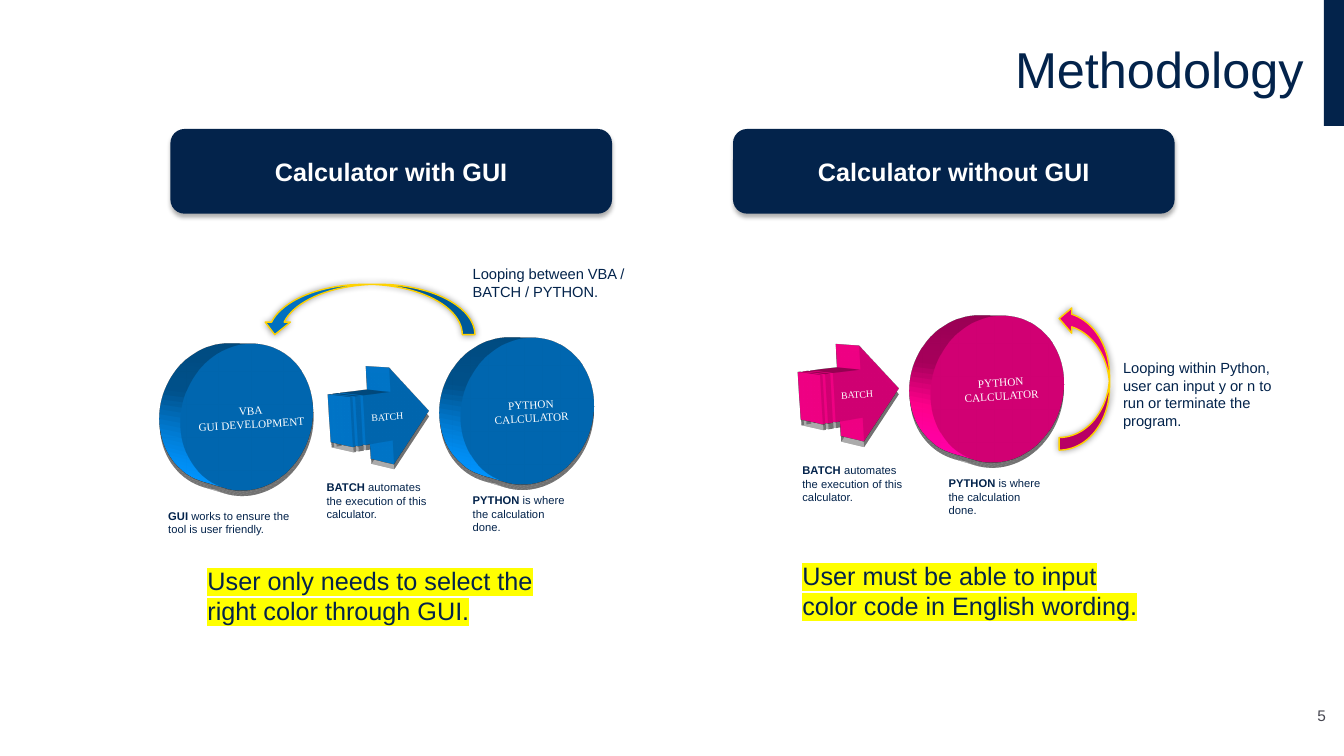
from pptx import Presentation
from pptx.dml.color import RGBColor
from pptx.enum.shapes import MSO_SHAPE as SHAPE
from pptx.enum.text import MSO_ANCHOR as ANCHOR, PP_ALIGN as ALIGN
from pptx.oxml import parse_xml
from pptx.oxml.ns import nsdecls
from pptx.util import Inches, Pt

NAVY, WHITE, GREY = "03234B", "FFFFFF", "464650"
BLUE, PINK, GOLD, YELLOW = "0070C0", "E6007E", "FFD200", "FFFF00"
COLS, ROWS = 13.33, 7.5  # grid of one-inch cells


def rgb(value):
    return RGBColor.from_string(value)


def element(tag, attrs="", inner=""):
    return parse_xml(f"<a:{tag} {nsdecls('a')} {attrs}>{inner}</a:{tag}>")


def format_run(r, size, color, font="Arial", bold=False, highlight=None):
    r.font.size, r.font.name, r.font.bold = Pt(size), font, bold
    r.font.color.rgb = rgb(color)
    if highlight:
        mark = element("highlight", inner=f'<a:srgbClr val="{highlight}"/>')
        r.font.fill._xPr.find("{*}solidFill").addnext(mark)


def add_shadow(sp, alpha, blur, dist, angle):
    sp._element.spPr.find("{*}effectLst").append(element(
        "outerShdw",
        f'blurRad="{Pt(blur)}" dist="{Pt(dist)}" dir="{angle * 60000}" rotWithShape="0"',
        f'<a:srgbClr val="000000"><a:alpha val="{alpha * 1000}"/></a:srgbClr>'))


def add_depth(sp):
    camera = '<a:camera prst="perspectiveHeroicExtremeRightFacing" zoom="82000"/>'
    light = ('<a:lightRig rig="morning" dir="t">'
             '<a:rot lat="0" lon="0" rev="20400000"/></a:lightRig>')
    spPr = sp._element.spPr
    spPr.append(element("scene3d", inner=camera + light))
    spPr.append(element("sp3d", 'extrusionH="381000" prstMaterial="plastic"'))


def add_shape(slide, kind, box, fill, lines=(), size=8, font="Arial", bold=False):
    sp = slide.shapes.add_shape(kind, *map(Inches, box))
    sp.shadow.inherit = False
    sp.fill.solid()
    sp.fill.fore_color.rgb = rgb(fill)
    sp.line.fill.background()
    tf = sp.text_frame
    tf.vertical_anchor = ANCHOR.MIDDLE
    tf.margin_left = tf.margin_right = tf.margin_top = tf.margin_bottom = Inches(0.01)
    tf.text = "\n".join(lines)
    for p in tf.paragraphs:
        p.alignment = ALIGN.CENTER
        for r in p.runs:
            format_run(r, size, WHITE, font, bold)
    return sp


def add_text(slide, box, text, size, lead="", highlight=None):
    tf = slide.shapes.add_textbox(*map(Inches, box)).text_frame
    tf.word_wrap = True
    p = tf.paragraphs[0]
    for part, bold in ((lead, True), (text, False)):
        if part:
            r = p.add_run()
            r.text = part
            format_run(r, size, NAVY, bold=bold, highlight=highlight)
    return tf


def header(slide):
    # Corner bar, title and page number
    add_shape(slide, SHAPE.RECTANGLE, (COLS - 0.2, 0, 0.2, ROWS / 6), NAVY)
    title = slide.shapes.title
    title.left, title.top, title.width, title.height = map(Inches, (0.33, 0, 12.7, 1.43))
    title.text_frame.text = "Methodology"
    title.text_frame.vertical_anchor = ANCHOR.MIDDLE
    p = title.text_frame.paragraphs[0]
    p.alignment, p.line_spacing = ALIGN.RIGHT, 0.9
    format_run(p.runs[0], 36, NAVY)

    tf = add_text(slide, (12.7, 6.92, 0.45, 0.32), "5", 11)
    tf.margin_left = tf.margin_right = 0
    tf.vertical_anchor = ANCHOR.BOTTOM
    tf.paragraphs[0].alignment = ALIGN.RIGHT
    format_run(tf.paragraphs[0].runs[0], 11, GREY)


def banner(slide, x, text):
    sp = add_shape(slide, SHAPE.ROUNDED_RECTANGLE, (x, 1.28, 4.38, 0.84), NAVY,
                   [text], 18, bold=True)
    add_shadow(sp, 32, 3.5, 2.2, 90)


def solid_step(slide, kind, box, color, lines, size):
    sp = add_shape(slide, kind, box, color, lines, size, "Times New Roman")
    add_shadow(sp, 33, 17.8, 4, 87)
    add_depth(sp)


def circle(slide, x, y, color, lines):
    solid_step(slide, SHAPE.OVAL, (x, y, 1.6, 1.46), color, lines, 8)


def batch_to_python(slide, x, y, color):
    # Striped arrow leading into the calculator circle
    solid_step(slide, SHAPE.STRIPED_RIGHT_ARROW, (x, y + 0.3, 0.93, 0.96),
               color, ["BATCH"], 7)
    circle(slide, x + 1.05, y, color, ["PYTHON", "CALCULATOR"])


def captions(slide, x, y):
    add_text(slide, (x, y, 1.21, 0.5),
             " automates the execution of this calculator.", 8, "BATCH")
    add_text(slide, (x + 1.45, y + 0.13, 1.21, 0.5),
             " is where the calculation done.", 8, "PYTHON")


def loop_arrow(slide, box, color, rotation):
    sp = add_shape(slide, SHAPE.CURVED_UP_ARROW, box, color)
    sp.rotation = rotation
    sp.line.color.rgb = rgb(GOLD)
    sp.line.width = Pt(1)
    add_shadow(sp, 40, 5, 0, 0)


def gui_panel(slide, x):
    banner(slide, x, "Calculator with GUI")
    circle(slide, x, 3.41, BLUE, ["VBA", "GUI DEVELOPMENT"])
    batch_to_python(slide, x + 1.73, 3.35, BLUE)
    loop_arrow(slide, (x + 0.91, 2.82, 2.11, 0.5), BLUE, 180)
    add_text(slide, (x - 0.12, 5, 1.47, 0.37),
             " works to ensure the tool is user friendly.", 8, "GUI")
    captions(slide, x + 1.45, 4.72)
    add_text(slide, (x + 2.9, 2.58, 1.79, 0.45),
             "Looping between VBA / BATCH / PYTHON.", 10.5)
    add_text(slide, (x + 0.27, 5.56, 3.57, 0.71),
             "User only needs to select the right color through GUI.", 18,
             highlight=YELLOW)


def no_gui_panel(slide, x):
    banner(slide, x, "Calculator without GUI")
    batch_to_python(slide, x + 0.81, 3.13, PINK)
    loop_arrow(slide, (x + 2.77, 3.5, 1.43, 0.5), PINK, 270)
    captions(slide, x + 0.59, 4.55)
    add_text(slide, (x + 3.77, 3.51, 1.79, 0.81),
             "Looping within Python, user can input y or n to run or "
             "terminate the program.", 10.5)
    add_text(slide, (x + 0.59, 5.51, 3.57, 0.71),
             "User must be able to input color code in English wording.", 18,
             highlight=YELLOW)


def main():
    prs = Presentation()
    prs.slide_width, prs.slide_height = Inches(COLS), Inches(ROWS)
    slide = prs.slides.add_slide(prs.slide_layouts[5])
    header(slide)
    gui_panel(slide, 1.69)
    no_gui_panel(slide, 7.27)
    prs.save("out.pptx")


if __name__ == "__main__":
    main()
